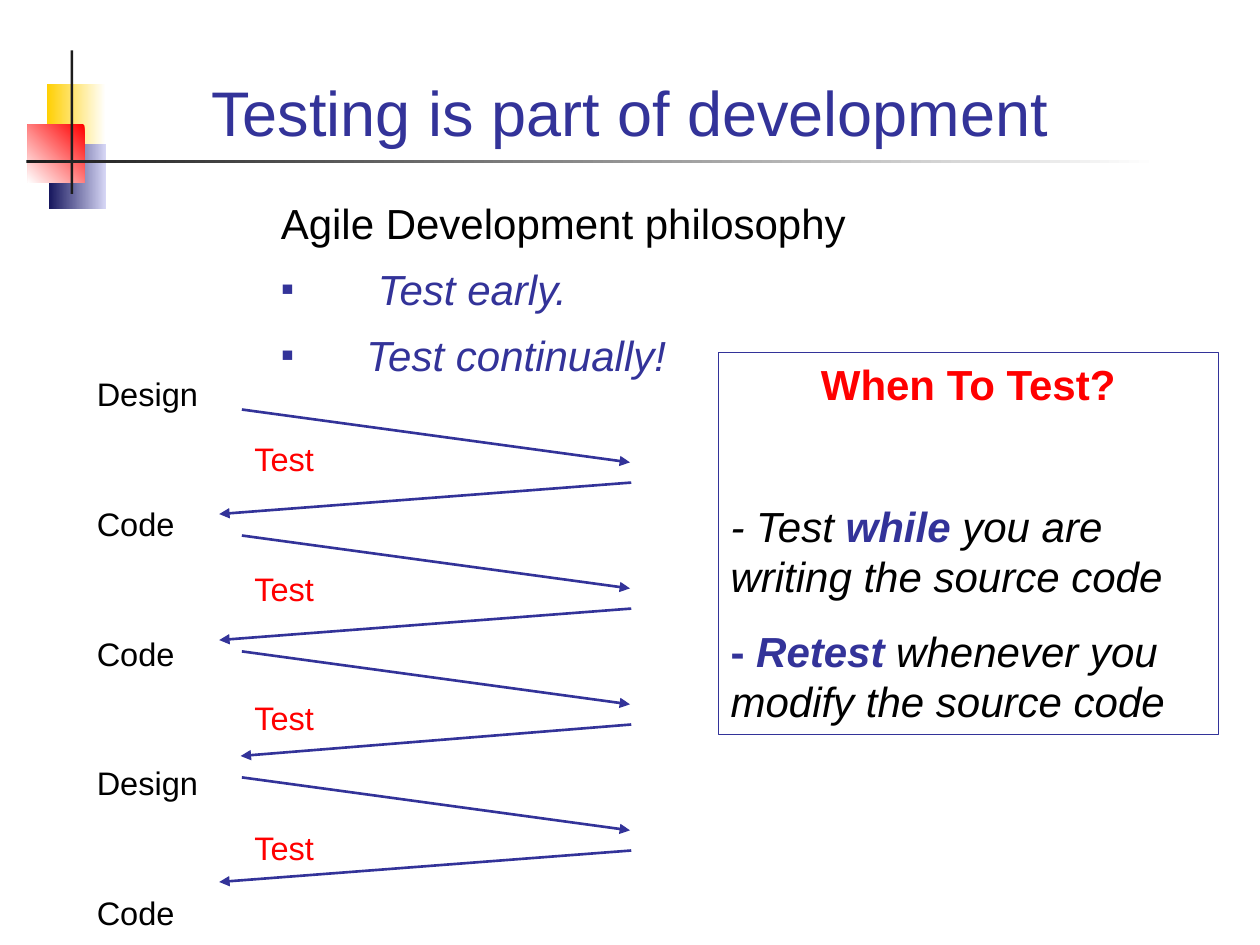
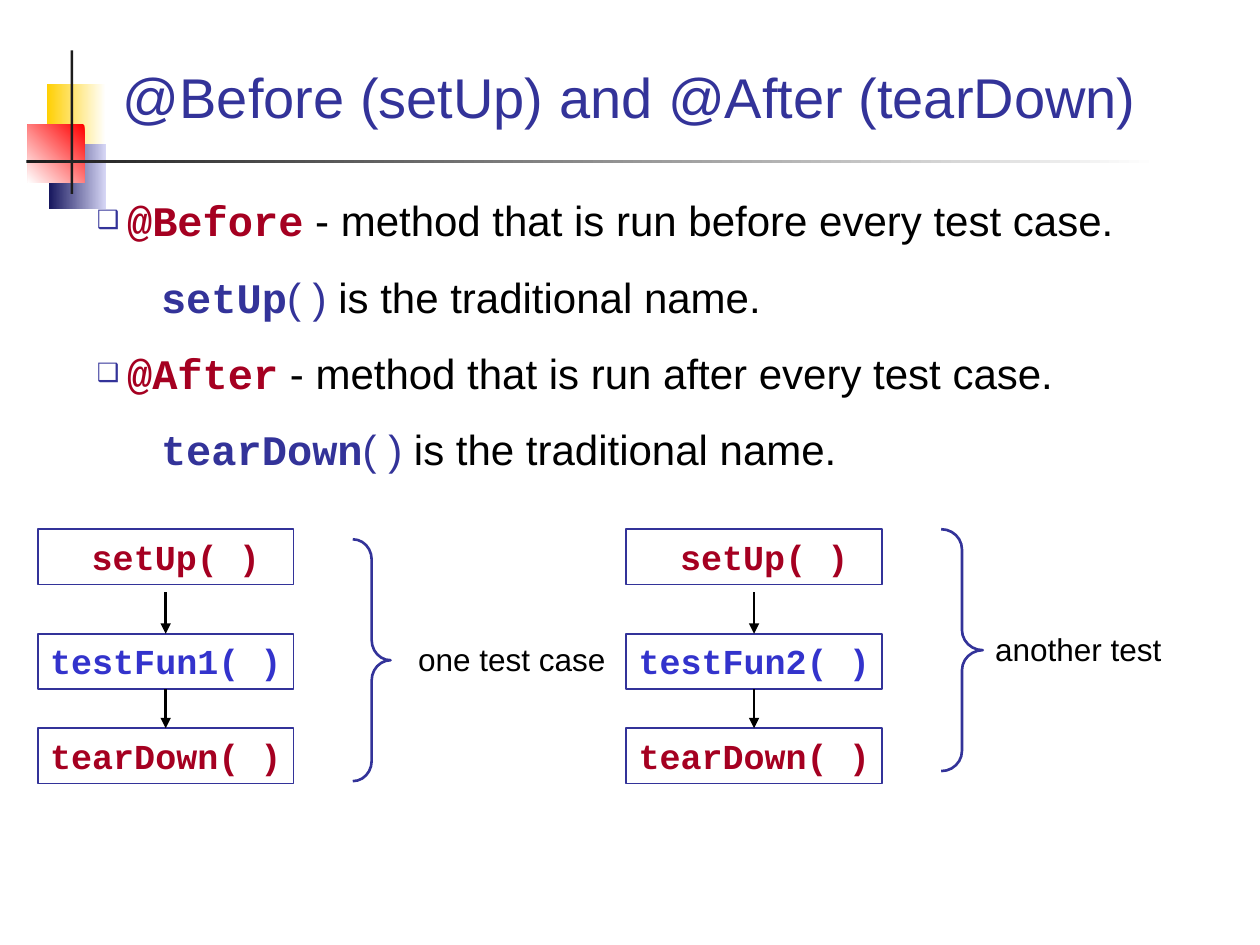
import pptx
import pptx.util
import pptx.dml.color
import pptx.enum.shapes
import pptx.enum.text
import pptx.oxml
import pptx.oxml.ns
from lxml import etree

Inches, Pt = pptx.util.Inches, pptx.util.Pt
SHAPE = pptx.enum.shapes.MSO_SHAPE
ALIGN = pptx.enum.text.PP_ALIGN
ANCHOR = pptx.enum.text.MSO_ANCHOR

NAVY, BLUE, RED, CRIMSON, BLACK = "333399", "3333CC", "FF0000", "A50021", "000000"
WHITE, CHARCOAL = "FFFFFF", "1C1C1C"
SANS, MONO = "Arial", "Courier New"
LINE_HEIGHT = 1.19

# Shared corner ornament: left, top, width, height, first colour, last colour, angle
ORNAMENT = [
    (0.37, 0.67, 0.47, 0.52, "FFCF01", WHITE, 0),
    (0.39, 1.14, 0.45, 0.52, "17175E", "D6D6F5", 0),
    (0.22, 0.99, 0.45, 0.46, RED, WHITE, 225),
    (0.56, 0.40, 0.02, 1.14, CHARCOAL, CHARCOAL, 0),
    (0.21, 1.27, 8.99, 0.02, CHARCOAL, WHITE, 0),
]

# Paragraphs are (runs, options); runs are (text, colour, style flags, font)
PHILOSOPHY = [
    ([("Agile Development philosophy", BLACK)], {}),
    ([("Test early.", NAVY, "i")],
     {"before": 9, "left": 0.77, "hang": 0.77, "bullet": ("▪", 90)}),
    ([("Test continually!", NAVY, "i")],
     {"before": 9, "left": 0.68, "hang": 0.68, "bullet": ("▪", 90)}),
]
STEPS = ["Design", "Test", "Code", "Test", "Code", "Test", "Design", "Test", "Code"]
# Top of each round trip and the x where its return arrow ends
ROUND_TRIPS = [(3.25, 1.74), (4.25, 1.74), (5.17, 1.91), (6.17, 1.74)]
WHEN_TO_TEST = [
    ([("When To Test?", RED, "b")], {"align": ALIGN.CENTER}),
    ([("- Test ", BLACK, "i"), ("while", NAVY, "bi"),
      (" you are writing the source code", BLACK, "i")], {"before": 52.5}),
    ([("- ", NAVY, "b"), ("Retest", NAVY, "bi"),
      (" whenever you modify the source code", BLACK, "i")], {"before": 14.3}),
]

# Annotation, what it does, traditional method name
FIXTURES = [
    ("@Before", " - method that is run before every test case.", "setUp"),
    ("@After", " - method that is run after every test case.", "tearDown"),
]
# Flow left, test method, brace (left, top, width), label (text, left, top, width)
TEST_RUNS = [
    (0.30, "testFun1( )", (2.80, 4.28, 0.30), ("one test case", 3.22, 5.03, 1.92)),
    (4.97, "testFun2( )", (7.47, 4.20, 0.33), ("another test", 7.80, 4.95, 2.17)),
]


def rgb(color):
    return pptx.dml.color.RGBColor.from_string(color)


def add_box(s, kind, left, top, width, height, line=None, weight=1.0):
    """Add a preset shape without fill or shadow."""
    sp = s.shapes.add_shape(kind, Inches(left), Inches(top), Inches(width), Inches(height))
    sp.shadow.inherit = False
    sp.fill.background()
    if line:
        sp.line.color.rgb = rgb(line)
        sp.line.width = Pt(weight)
    else:
        sp.line.fill.background()
    return sp


def add_bullet(p, char, percent):
    pPr = p._p.get_or_add_pPr()
    ns = pptx.oxml.ns.nsdecls("a")
    for xml in (
        f'<a:buClr {ns}><a:srgbClr val="{NAVY}"/></a:buClr>',
        f'<a:buSzPct {ns} val="{percent * 1000}"/>',
        f'<a:buFont {ns} typeface="{SANS}"/>',
        f'<a:buChar {ns} char="{char}"/>',
    ):
        pPr.append(pptx.oxml.parse_xml(xml))


def add_run(p, size, text, color, flags="", font=SANS):
    r = p.add_run()
    r.text = text
    r.font.name, r.font.size = font, Pt(size)
    r.font.color.rgb = rgb(color)
    r.font.bold, r.font.italic = "b" in flags, "i" in flags


def write(sp, paragraphs, size):
    tf = sp.text_frame
    tf.word_wrap = True
    tf.vertical_anchor = ANCHOR.TOP
    for i, (runs, options) in enumerate(paragraphs):
        p = tf.add_paragraph() if i else tf.paragraphs[0]
        p.alignment = options.get("align", ALIGN.LEFT)
        p.line_spacing = Pt(round(size * LINE_HEIGHT, 1))
        p.space_before = Pt(options.get("before", 0))
        pPr = p._p.get_or_add_pPr()
        pPr.set("marL", str(Inches(options.get("left", 0))))
        pPr.set("indent", str(-Inches(options.get("hang", 0))))
        if "bullet" in options:
            add_bullet(p, *options["bullet"])
        for run in runs:
            add_run(p, size, *run)
    return tf


def add_text(s, left, top, width, height, paragraphs, size):
    sp = s.shapes.add_textbox(Inches(left), Inches(top), Inches(width), Inches(height))
    return write(sp, paragraphs, size)


def add_arrow(s, x1, y1, x2, y2, color):
    c = s.shapes.add_connector(pptx.enum.shapes.MSO_CONNECTOR.STRAIGHT,
                               Inches(x1), Inches(y1), Inches(x2), Inches(y2))
    c.line.color.rgb = rgb(color)
    c.line.width = Pt(1.5)
    qn = pptx.oxml.ns.qn
    etree.SubElement(c.line._get_or_add_ln(), qn("a:tailEnd"), type="triangle")
    etree.SubElement(c._element.spPr, qn("a:effectLst"))
    return c


def add_slide(prs, title, size, title_height):
    """Add a slide with the shared ornament and title."""
    s = prs.slides.add_slide(prs.slide_layouts[6])
    for left, top, width, height, first, last, angle in ORNAMENT:
        sp = add_box(s, SHAPE.RECTANGLE, left, top, width, height)
        if first == last:
            sp.fill.solid()
            sp.fill.fore_color.rgb = rgb(first)
            continue
        sp.fill.gradient()
        sp.fill.gradient_angle = angle
        for stop, color in zip(sp.fill.gradient_stops, (first, last)):
            stop.color.rgb = rgb(color)
    tf = add_text(s, 0.67, 0.28, 8.66, title_height,
                  [([(title, NAVY)], {"align": ALIGN.CENTER})], size)
    tf.vertical_anchor = ANCHOR.BOTTOM
    return s


def build_development(prs):
    s = add_slide(prs, "Testing is part of development", 36, 0.95)
    steps = [
        ([(step, RED if step == "Test" else BLACK)],
         {"before": 15 if i else 0, "left": 1.25 if step == "Test" else 0})
        for i, step in enumerate(STEPS)
    ]
    add_text(s, 0.67, 2.92, 5.13, 4.38, steps, 18.6)
    for y, back_x in ROUND_TRIPS:
        add_arrow(s, 1.92, y, 5.0, y + 0.42, NAVY)
        add_arrow(s, 5.01, y + 0.58, back_x, y + 0.83, NAVY)
    write(add_box(s, SHAPE.RECTANGLE, 5.7, 2.8, 3.97, 3.03, NAVY, 0.75), WHEN_TO_TEST, 24)
    add_text(s, 2.13, 1.52, 5.75, 1.55, PHILOSOPHY, 24)


def add_test_run(s, left, test, brace, label):
    """Add the three boxes of one test run, their arrows, brace and label."""
    width, height = 2.03, 0.44
    calls = [("setUp( )", CRIMSON, 4.2, 0.33), (test, BLUE, 5.03, 0),
             ("tearDown( )", CRIMSON, 5.78, 0)]
    boxes = []
    for call, color, top, indent in calls:
        sp = add_box(s, SHAPE.RECTANGLE, left, top, width, height, NAVY)
        write(sp, [([(call, color, "b", MONO)], {"left": indent})], 20)
        sp.text_frame.margin_right = Inches(0.05)
        boxes.append(sp)

    x = left + width / 2
    into_test = add_arrow(s, x, 4.7, x, 5.03, BLACK)
    into_test.end_connect(boxes[1], 0)
    into_teardown = add_arrow(s, x, 5.47, x, 5.78, BLACK)
    into_teardown.begin_connect(boxes[1], 2)
    into_teardown.end_connect(boxes[2], 0)

    brace_left, brace_top, brace_width = brace
    sp = add_box(s, SHAPE.RIGHT_BRACE, brace_left, brace_top, brace_width, 1.92, NAVY, 1.5)
    sp.adjustments[0] = 0.16 / brace_width
    text, label_left, label_top, label_width = label
    add_text(s, label_left, label_top, label_width, 0.4, [([(text, BLACK)], {})], 18)


def build_fixtures(prs):
    s = add_slide(prs, "@Before (setUp) and @After (tearDown)", 32, 0.8)
    paragraphs = []
    for i, (annotation, purpose, method) in enumerate(FIXTURES):
        paragraphs += [
            ([(annotation, CRIMSON, "b", MONO), (purpose, BLACK)],
             {"before": 15 if i else 0, "left": 0.24, "hang": 0.24, "bullet": ("❑", 60)}),
            ([(method, NAVY, "b", MONO), ("( )", NAVY), (" is the traditional name.", BLACK)],
             {"before": 15, "left": 0.51}),
        ]
    add_text(s, 0.67, 1.5, 8.66, 4.88, paragraphs, 24)
    for test_run in TEST_RUNS:
        add_test_run(s, *test_run)


def main():
    prs = pptx.Presentation()
    prs.slide_width, prs.slide_height = Inches(10), Inches(7.5)
    build_development(prs)
    build_fixtures(prs)
    prs.save("out.pptx")


if __name__ == "__main__":
    main()
